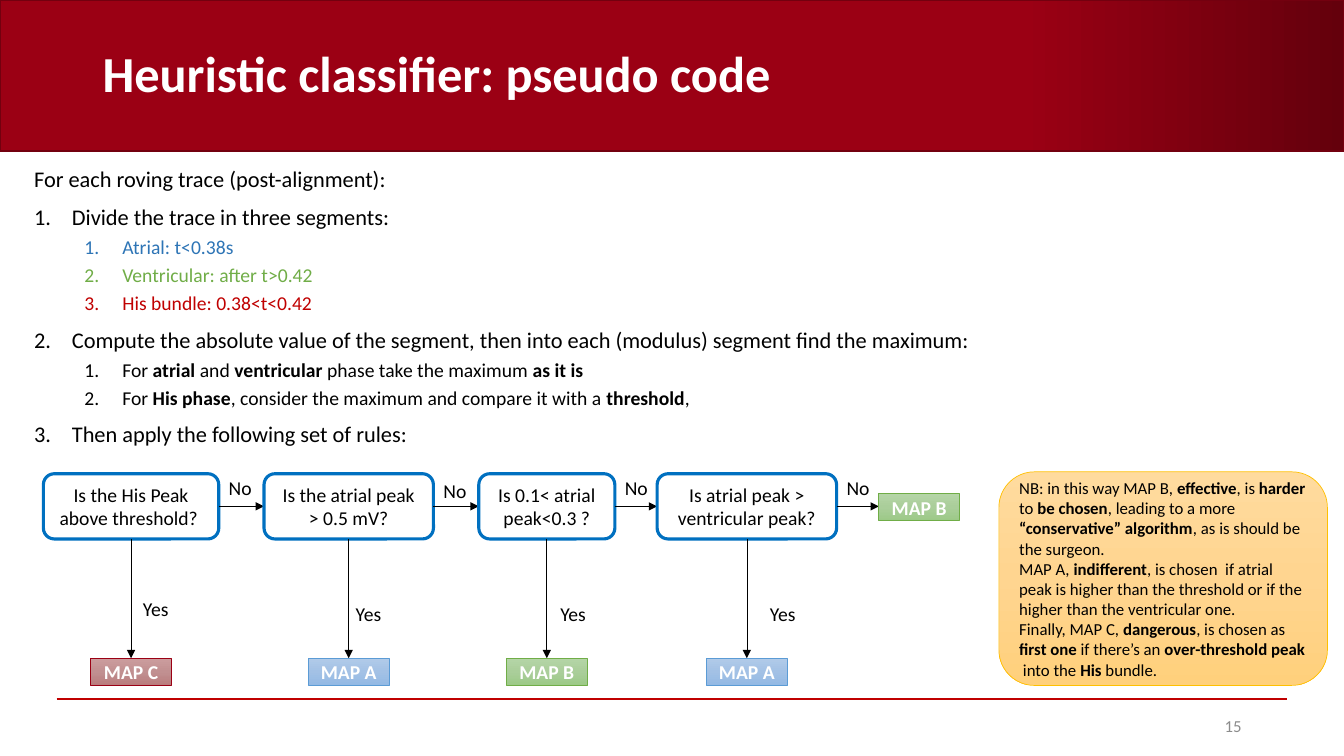
from lxml import etree
from pptx import Presentation
from pptx.dml.color import RGBColor as RGB
from pptx.enum.shapes import MSO_CONNECTOR as Link, MSO_SHAPE as Form
from pptx.enum.text import MSO_ANCHOR as Anchor, PP_ALIGN as Align
from pptx.oxml.ns import qn
from pptx.util import Pt

TITLE = "Heuristic classifier: pseudo code"
PAGE = "15"

STEPS = [
    (None, "black", "For each roving trace (post-alignment):"),
    (0, "black", "Divide the trace in three segments:"),
    (1, "atrial", "Atrial: t<0.38s"),
    (1, "green", "Ventricular: after t>0.42"),
    (1, "red", "His bundle: 0.38<t<0.42"),
    (0, "black", "Compute the absolute value of the segment, then into each "
                 "(modulus) segment find the maximum:"),
    (1, "black", "For **atrial** and **ventricular** phase take the maximum **as it is**"),
    (1, "black", "For **His phase**, consider the maximum and compare it "
                 "with a **threshold**,"),
    (0, "black", "Then apply the following set of rules:"),
]

# question, left, width, result, "No" top, "Yes" left, "Yes" top
RULES = [
    ("Is the His Peak above threshold? ", 31, 125.3, "MAP C", 336.2, 95, 422.6),
    ("Is the atrial peak > 0.5 mV?", 188.6, 121, "MAP A", 338.4, 247, 426.2),
    ("Is 0.1< atrial peak<0.3 ?", 342, 97.2, "MAP B", 336.2, 393.1, 426.2),
    ("Is atrial peak > ventricular peak?", 469.4, 128.2, "MAP A", 336.2, 542.9, 426.2),
]
LAST = ("MAP B", 627.8)

NOTES = [
    "NB: in this way MAP B, **effective**, is **harder** to **be chosen**, leading "
    "to a more **“conservative” algorithm**, as is should be the surgeon.",
    "MAP A, **indifferent**, is chosen  if atrial peak is higher than the "
    "threshold or if the higher than the ventricular one.",
    "Finally, MAP C, **dangerous**, is chosen as **first one** if there’s an "
    "**over-threshold peak ** into the **His** bundle.",
]

THEME = {
    "font": "Calibri",
    "size": {"title": 36, "step": 16, "body": 14, "note": 12},
    "color": {"black": "000000", "white": "FFFFFF", "gray": "8C8C8C",
              "atrial": "2E75B6", "green": "70AD47", "red": "C00000",
              "frame": "0070C0"},
    "grad": {
        "band": ([(76, "9B0014"), (100, "64000C")], 0, "73000F"),
        "MAP A": ([(0, "B1CBE9"), (50, "A3C1E5"), (100, "93B9E4")], 90, "5B9BD5"),
        "MAP B": ([(0, "B5D5A7"), (50, "AACE9A"), (100, "9CC987")], 90, "70AD47"),
        "MAP C": ([(0, "CC9D9E"), (50, "C19091"), (100, "B97C7D")], 90, "9B0014"),
        "note": ([(0, "FFDB9E"), (50, "FFD590"), (100, "FFD07C")], 90, "FFC000"),
    },
}
SIZE, COLOR, GRAD = THEME["size"], THEME["color"], THEME["grad"]

ROW, TALL = 338.4, 46.6
MID = ROW + TALL / 2
END, TAG_W, TAG_H = 470.2, 57.6, 19.4


def write(para, text, size, color="black", bold=False, align=Align.LEFT):
    para.alignment = align
    for i, part in enumerate(text.split("**")):
        if part:
            run = para.add_run()
            run.text = part
            font = run.font
            font.name, font.size = THEME["font"], Pt(SIZE[size])
            font.bold = bold or i % 2 == 1
            font.color.rgb = RGB.from_string(COLOR[color])


def label(box, text, size, color="black", anchor=Anchor.TOP, **look):
    frame = slide.shapes.add_textbox(*map(Pt, box)).text_frame
    frame.word_wrap = True
    frame.vertical_anchor = anchor
    if text:
        write(frame.paragraphs[0], text, size, color, **look)
    return frame


def block(form, box, line, width, grad=None):
    shape = slide.shapes.add_shape(form, *map(Pt, box))
    shape.shadow.inherit = False
    shape.line.color.rgb = RGB.from_string(line)
    shape.line.width = Pt(width)
    shape.fill.background()
    if grad:
        stops, angle, _ = GRAD[grad]
        fill = etree.Element(qn("a:gradFill"), rotWithShape="1")
        group = etree.SubElement(fill, qn("a:gsLst"))
        for pos, color in stops:
            stop = etree.SubElement(group, qn("a:gs"), pos=str(pos * 1000))
            etree.SubElement(stop, qn("a:srgbClr"), val=color)
        etree.SubElement(fill, qn("a:lin"), ang=str(angle * 60000), scaled="0")
        props = shape.element.spPr
        props.replace(props.find(qn("a:noFill")), fill)
    frame = shape.text_frame
    frame.word_wrap = True
    frame.vertical_anchor = Anchor.MIDDLE
    return frame


def tag(name, left, top):
    frame = block(Form.RECTANGLE, (left, top, TAG_W, TAG_H), GRAD[name][2], 0.5, name)
    write(frame.paragraphs[0], name, "body", "white", True, Align.CENTER)


def link(ends, color="black", width=0.5, arrow=True):
    wire = slide.shapes.add_connector(Link.STRAIGHT, *map(Pt, ends))
    wire.line.color.rgb = RGB.from_string(COLOR[color])
    wire.line.width = Pt(width)
    props = wire.element.spPr
    if arrow:
        etree.SubElement(props.find(qn("a:ln")), qn("a:tailEnd"), type="triangle")
    etree.SubElement(props, qn("a:effectLst"))


def outline(frame):
    for i, (level, color, text) in enumerate(STEPS):
        para = frame.add_paragraph() if i else frame.paragraphs[0]
        sub = level == 1
        write(para, text, "body" if sub else "step", color)
        para.line_spacing = 0.9
        para.space_before = Pt(5 if sub else 10)
        if level is not None:
            para.level = level
            props = para._p.get_or_add_pPr()
            props.set("marL", str(Pt(63 if sub else 27)))
            props.set("indent", str(-Pt(27)))
            etree.SubElement(props, qn("a:buFont"), typeface="+mj-lt")
            etree.SubElement(props, qn("a:buAutoNum"), type="arabicPeriod")


deck = Presentation()
deck.slide_width, deck.slide_height = Pt(960), Pt(540)
slide = deck.slides.add_slide(deck.slide_layouts[6])

block(Form.RECTANGLE, (0, 0, 960, 108), GRAD["band"][2], 1, "band")
link((40.5, 499.5, 919.5, 499.5), "red", 1.5, False)
head = label((66.2, 16.6, 780, 76.3), TITLE, "title", "white", Anchor.MIDDLE, bold=True)
head.paragraphs[0].line_spacing = 0.9
label((678, 504, 216, 28.8), PAGE, "note", "gray", Anchor.MIDDLE, align=Align.RIGHT)
outline(label((17.3, 116.6, 767.5, 324.7), "", "step"))

nexts = [rule[1] for rule in RULES[1:]] + [LAST[1]]
for (ask, left, wide, name, no_y, yes_x, yes_y), after in zip(RULES, nexts):
    right, center = left + wide, left + wide / 2
    frame = block(Form.ROUNDED_RECTANGLE, (left, ROW, wide, TALL), COLOR["frame"], 2.25)
    write(frame.paragraphs[0], ask, "body", align=Align.CENTER)
    link((right, MID, after, MID))
    link((center, ROW + TALL, center, END))
    tag(name, center - TAG_W / 2, END)
    label((right, no_y, 39.6, 24.5), "No", "body")
    label((yes_x, yes_y, 39.6, 24.5), "Yes", "body")
tag(LAST[0], LAST[1], MID + 0.7 - TAG_H / 2)

frame = block(Form.ROUNDED_RECTANGLE, (713.5, 337, 234.7, 152.6), GRAD["note"][2], 0.5, "note")
for i, text in enumerate(NOTES):
    write(frame.add_paragraph() if i else frame.paragraphs[0], text, "note")

deck.save("out.pptx")
